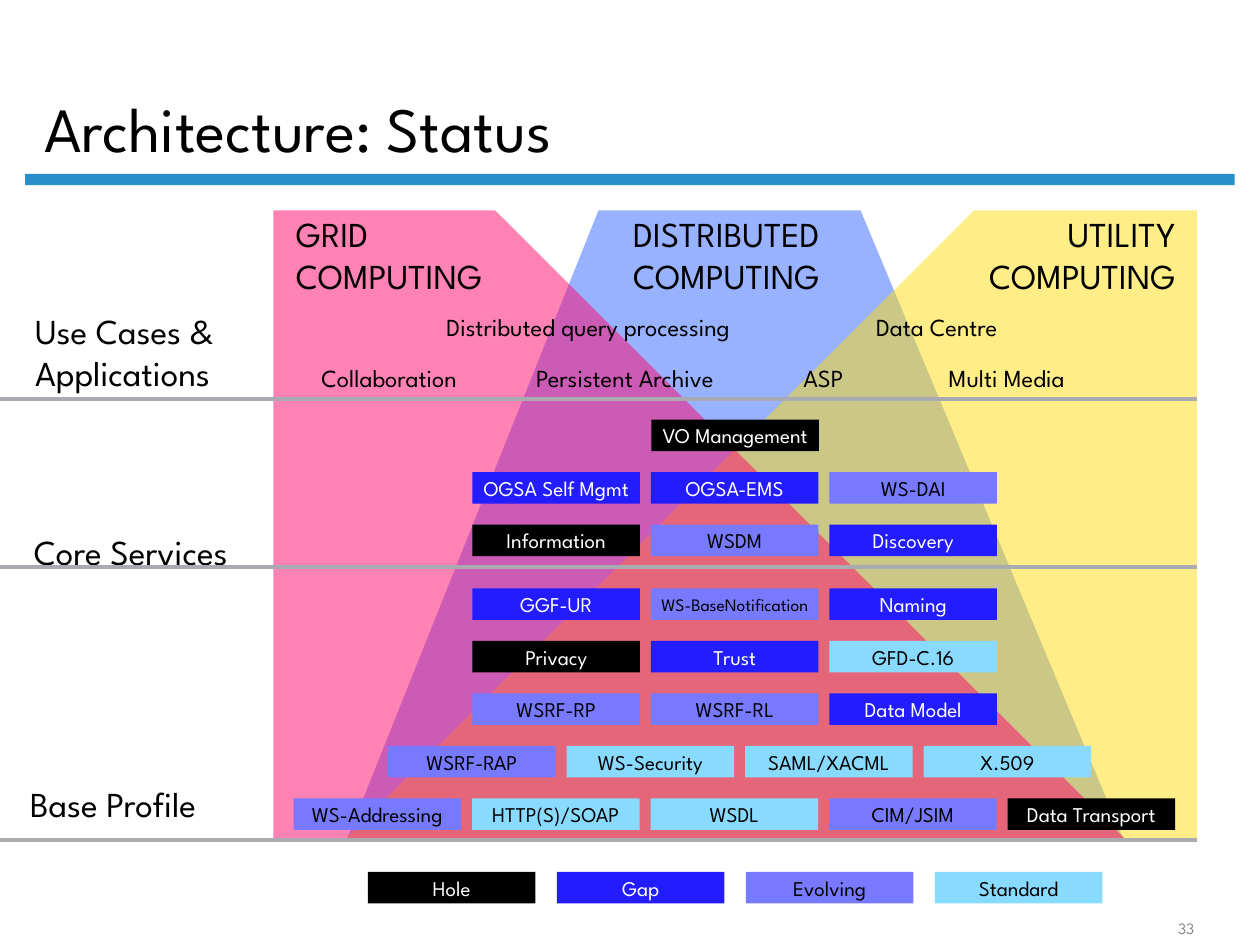
from lxml import etree
from pptx import Presentation
from pptx.dml.color import RGBColor
from pptx.enum import shapes, text
from pptx.oxml import ns
from pptx.util import Inches, Pt

FACE = "League Spartan"
BLACK = RGBColor(0x00, 0x00, 0x00)
WHITE = RGBColor(0xFF, 0xFF, 0xFF)
GRAY = RGBColor(0x84, 0x85, 0x89)
RULE = RGBColor(0xAA, 0xAB, 0xB0)
BAR = RGBColor(0x29, 0x90, 0xCA)
BLUE = RGBColor(0x33, 0x66, 0xFF)
GOLD = RGBColor(0xFF, 0xDD, 0x11)
PINK = RGBColor(0xFF, 0x06, 0x6D)
GAP = RGBColor(0x22, 0x1C, 0xFF)
EVOLVING = RGBColor(0x77, 0x7A, 0xFF)
STANDARD = RGBColor(0x88, 0xDB, 0xFF)

STATUS = {
    "H": (BLACK, WHITE),
    "G": (GAP, WHITE),
    "E": (EVOLVING, BLACK),
    "S": (STANDARD, BLACK),
}
LEFT, MID, RIGHT = text.PP_ALIGN.LEFT, text.PP_ALIGN.CENTER, text.PP_ALIGN.RIGHT
TOP, CENTER, BOTTOM = (text.MSO_ANCHOR.TOP, text.MSO_ANCHOR.MIDDLE,
                       text.MSO_ANCHOR.BOTTOM)
STEP_X, STEP_Y = 17 / 12, 5 / 12

CORE = [
    (5.17, [("VO Management", "H")]),
    (3.75, [("OGSA Self Mgmt", "G"), ("OGSA-EMS", "G"), ("WS-DAI", "E")]),
    (3.75, [("Information", "H"), ("WSDM", "E"), ("Discovery", "G")]),
]
BASE = [
    (3.75, [("GGF-UR", "G"), ("WS-BaseNotification", "E"), ("Naming", "G")]),
    (3.75, [("Privacy", "H"), ("Trust", "G"), ("GFD-C.16", "S")]),
    (3.75, [("WSRF-RP", "E"), ("WSRF-RL", "E"), ("Data Model", "G")]),
    (3.08, [("WSRF-RAP", "E"), ("WS-Security", "S"), ("SAML/XACML", "S"),
            ("X.509", "S")]),
    (2.33, [("WS-Addressing", "E"), ("HTTP(S)/SOAP", "S"), ("WSDL", "S"),
            ("CIM/JSIM", "E"), ("Data Transport", "H")]),
]
LEGEND = [("Hole", "H"), ("Gap", "G"), ("Evolving", "E"), ("Standard", "S")]
FIELDS = [
    ("GRID\nCOMPUTING", (2.25, 1.64, 1.88, 0.77), LEFT),
    ("DISTRIBUTED\nCOMPUTING", (4.78, 1.64, 1.97, 0.77), MID),
    ("UTILITY\nCOMPUTING", (7.55, 1.64, 1.88, 0.77), RIGHT),
]
LAYERS = [
    ("Use Cases &\nApplications", (0.18, 2.41, 1.8, 0.77), 3.17),
    ("Core Services", (0.17, 4.16, 1.95, 0.44), 4.5),
    ("Base Profile", (0.14, 6.16, 1.75, 0.44), 6.67),
]
CASES = [
    ("Distributed query processing", (3.24, 2.42, 2.86, 0.34)),
    ("Data Centre", (6.79, 2.42, 1.29, 0.34)),
    ("Collaboration", (2.37, 2.83, 1.44, 0.34)),
    ("Persistent Archive", (4.04, 2.83, 1.84, 0.34)),
    ("ASP", (6.26, 2.83, 0.55, 0.34)),
    ("Multi Media", (7.35, 2.83, 1.28, 0.34)),
]


def write(frame, words, size, color, align, anchor, wrap=False):
    frame.text = words
    frame.word_wrap = wrap
    frame.vertical_anchor = anchor
    for para in frame.paragraphs:
        para.alignment = align
        for run in para.runs:
            run.font.size = Pt(size)
            run.font.name = FACE
            run.font.color.rgb = color


def paint(shape, color):
    shape.shadow.inherit = False
    shape.fill.solid()
    shape.fill.fore_color.rgb = color
    shape.line.fill.background()


def block(slide, box, color):
    shape = slide.shapes.add_shape(shapes.MSO_SHAPE.RECTANGLE,
                                   *map(Inches, box))
    paint(shape, color)
    return shape


def label(slide, words, box, size, align=LEFT, anchor=TOP, color=BLACK):
    frame = slide.shapes.add_textbox(*map(Inches, box)).text_frame
    write(frame, words, size, color, align, anchor)


def header(slide, box):
    block(slide, (0.2, 1.38, 9.6, 0.09), BAR)
    title = slide.shapes.title
    title.left, title.top, title.width, title.height = map(Inches, box)
    frame = title.text_frame
    write(frame, "Architecture: Status", 36, BLACK, LEFT, BOTTOM, True)
    frame.auto_size = text.MSO_AUTO_SIZE.NONE
    frame.paragraphs[0].line_spacing = 0.9


def wedge(slide, points, color):
    start, *rest = [(Inches(x), Inches(y)) for x, y in points]
    draft = slide.shapes.build_freeform(*start)
    draft.add_line_segments(rest, close=True)
    shape = draft.convert_to_shape()
    paint(shape, color)
    tint = shape._element.spPr.find(".//" + ns.qn("a:srgbClr"))
    etree.SubElement(tint, ns.qn("a:alpha"), val="50000")


def fields(slide, box):
    left, top, width, height = box
    right, base = left + width, top + height
    wedge(slide, [(2.75, 6.67), (4.75, top), (6.83, top), (8.92, 6.67)], BLUE)
    wedge(slide, [(right, top), (7.73, top), (2.75, base), (right, base)], GOLD)
    wedge(slide, [(left, top), (3.93, top), (8.92, base), (left, base)], PINK)
    for words, place, align in FIELDS:
        label(slide, words, place, 20, align)


def layers(slide, left, right):
    for words, place, y in LAYERS:
        label(slide, words, place, 20)
        line = slide.shapes.add_connector(
            shapes.MSO_CONNECTOR.STRAIGHT,
            Inches(left), Inches(y), Inches(right), Inches(y))
        line.line.color.rgb = RULE
        line.line.width = Pt(2.25)
        etree.SubElement(line._element.spPr, ns.qn("a:effectLst"))
    for words, place in CASES:
        label(slide, words, place, 14, MID, CENTER)


def row(slide, left, top, items, step=STEP_X):
    for i, (words, state) in enumerate(items):
        fill, ink = STATUS[state]
        shape = block(slide, (left + i * step, top, 1.33, 0.25), fill)
        size = 10 if len(words) > 15 else 12
        write(shape.text_frame, words, size, ink, MID, CENTER)


def stack(slide, top, rows):
    for i, (left, items) in enumerate(rows):
        row(slide, left, top + i * STEP_Y, items)


def main():
    deck = Presentation()
    deck.slide_width, deck.slide_height = Inches(10), Inches(7.5)
    slide = deck.slides.add_slide(deck.slide_layouts[5])
    header(slide, (0.25, 0.12, 8.56, 1.25))
    fields(slide, (2.17, 1.67, 7.33, 4.98))
    layers(slide, 0, 9.5)
    stack(slide, 3.33, CORE)
    stack(slide, 4.67, BASE)
    row(slide, 2.92, 6.92, LEGEND, 1.5)
    label(slide, "33", (9, 7.25, 0.83, 0.24), 9, MID, BOTTOM, GRAY)
    deck.save("out.pptx")


if __name__ == "__main__":
    main()
